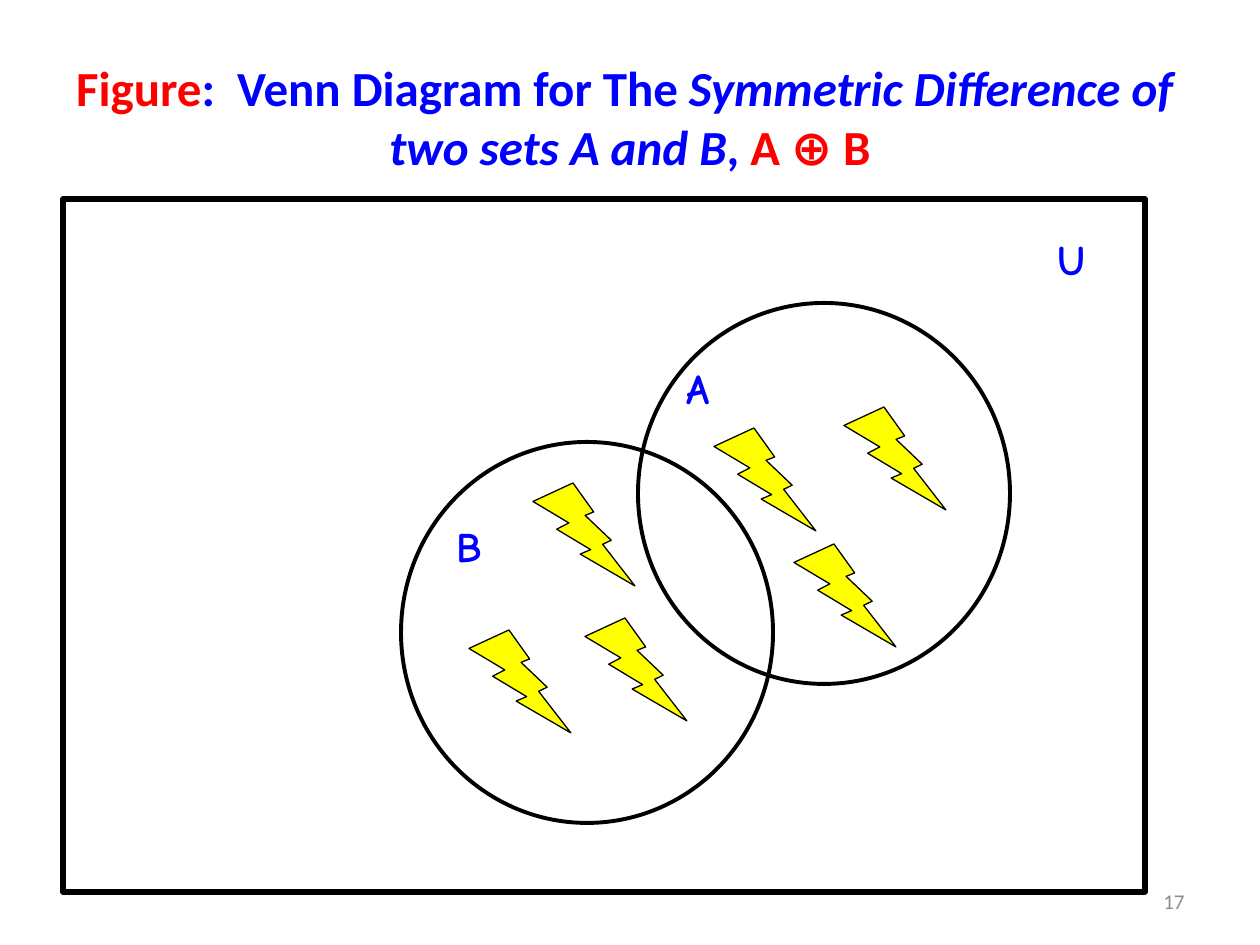
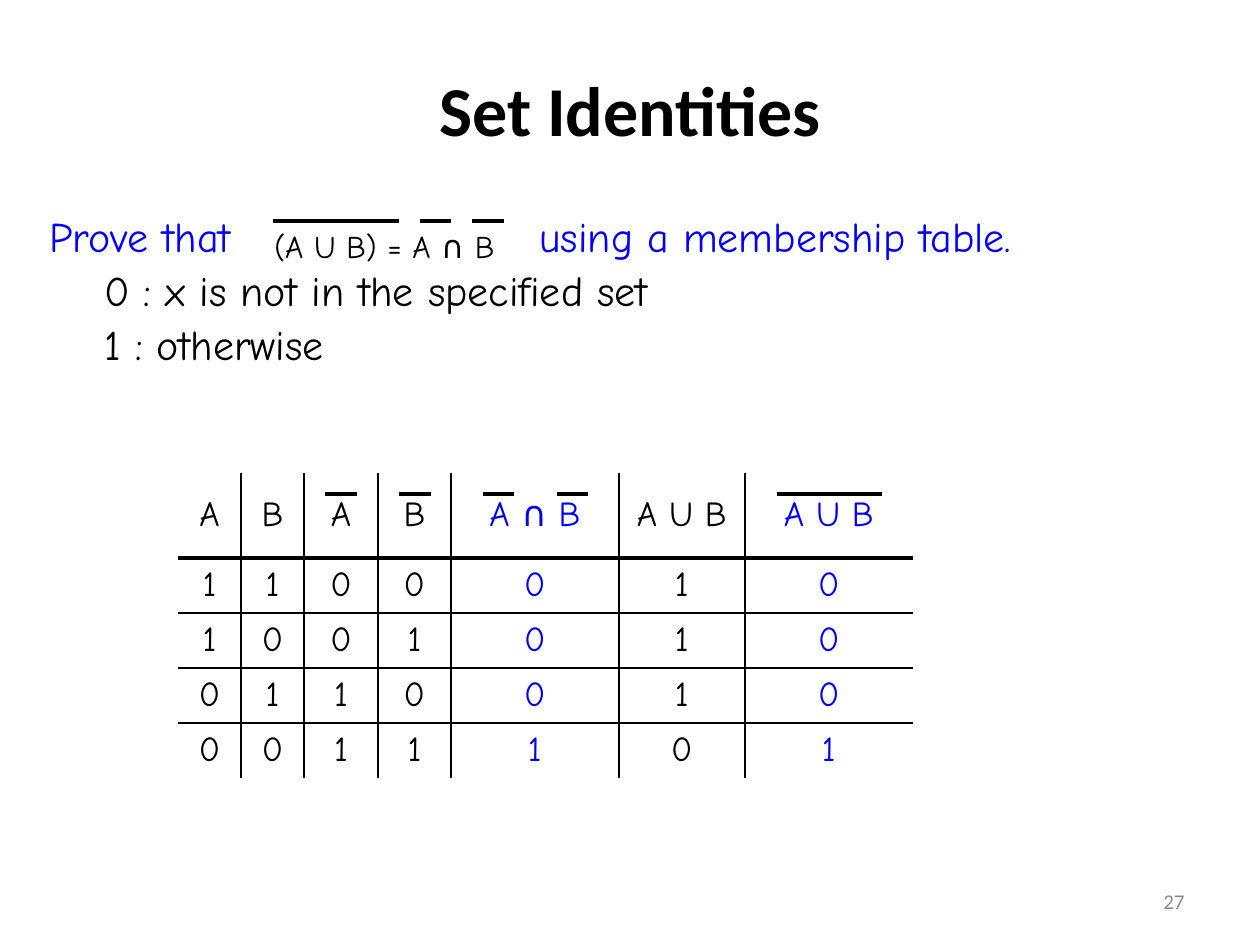
import pptx
import pptx.util
import pptx.dml.color
import pptx.enum.shapes
import pptx.enum.text
import pptx.oxml
from pptx.oxml.ns import qn

Pt = pptx.util.Pt
Kind = pptx.enum.shapes.MSO_SHAPE
Align = pptx.enum.text.PP_ALIGN
Anchor = pptx.enum.text.MSO_ANCHOR

COLORS = {"black": "000000", "blue": "0000FF", "red": "FF0000",
          "yellow": "FFFF00", "white": "FFFFFF", "gray": "8C8C8C"}
SANS, HAND = "Calibri", "Comic Neue"
PX = 914400 / 126
BREAK = None

# Slide 1: runs are (text, colour, italic)
VENN_TITLE = [("Figure", "red", False), (":  Venn Diagram for The ", "blue", False),
              ("Symmetric Difference of ", "blue", True), BREAK,
              ("two sets A and B", "blue", True), (", ", "blue", False),
              ("A ⊕ B", "red", False)]
FRAME = (63, 199, 1082, 693)
CIRCLES = [((401, 442, 372, 381), "white"), ((638, 303, 372, 381), None)]
BOLTS = [(794, 544), (844, 407), (714, 428), (533, 483), (469, 630), (585, 618)]
BOLT_W, BOLT_H = 102, 103
LABELS = [("A", (674, 362, 60, 73), 0.9, 0), ("U", (1045, 227, 121, 98), 1, 5),
          ("B", (444, 520, 70, 62), 0.9, 0)]

# Slide 2
CLAIM = "Prove that\tusing a membership table."
CODES = ["0 : x is not in the specified set", "1 : otherwise"]
FORMULA = "(A U B) = A ∩ B"
CLAIM_TAB, CODE_INDENT = 490, 55
HEADS = ["A", "B", "A", "B", "A ∩ B", "A U B", "A U B"]
ROWS = ["1100010", "1001010", "0110010", "0011101"]
BLUE_COLS = (4, 6)
COLS = [63, 63, 74, 73, 168, 126, 168]
HEAD_H, ROW_H = 85, 55
TABLE_X, TABLE_Y = 178, 473
# Overbars: y, then (start, end) of each
BARS = [(221, [(273, 399), (420, 451), (472, 504)]),
        (494, [(325, 357), (399, 431), (483, 514), (557, 588), (777, 882)])]


def px(n):
    return round(n * PX)


def rgb(name):
    return pptx.dml.color.RGBColor.from_string(COLORS[name])


def style(para, size, font, color=None, bold=False):
    para.font.size, para.font.name, para.font.bold = Pt(size), font, bold
    if color:
        para.font.color.rgb = rgb(color)


def add_box(slide, box, anchor=Anchor.TOP):
    """Add a wrapping text box and return its text frame."""
    frame = slide.shapes.add_textbox(*map(px, box)).text_frame
    frame.word_wrap = True
    frame.vertical_anchor = anchor
    return frame


def add_text(slide, box, text, size, font, color, bold=False,
             align=Align.LEFT, anchor=Anchor.TOP):
    para = add_box(slide, box, anchor).paragraphs[0]
    para.text, para.alignment = text, align
    style(para, size, font, color, bold)
    return para


def add_title(slide, height, size, runs):
    para = add_box(slide, (63, 38, 1134, height), Anchor.MIDDLE).paragraphs[0]
    para.alignment = Align.CENTER
    style(para, size, SANS, bold=True)
    for item in runs:
        if item is BREAK:
            para.add_line_break()
            continue
        run = para.add_run()
        run.text, color, run.font.italic = item
        run.font.color.rgb = rgb(color)


def add_number(slide, number):
    add_text(slide, (903, 876, 294, 50), str(number), 12, SANS, "gray",
             align=Align.RIGHT, anchor=Anchor.MIDDLE)


def add_figure(slide, kind, box, fill, width):
    shape = slide.shapes.add_shape(kind, *map(px, box))
    shape.shadow.inherit = False
    if fill:
        shape.fill.solid()
        shape.fill.fore_color.rgb = rgb(fill)
    else:
        shape.fill.background()
    shape.line.color.rgb = rgb("black")
    shape.line.width = Pt(width)


def add_bar(slide, start, end, y):
    bar = slide.shapes.add_connector(pptx.enum.shapes.MSO_CONNECTOR.STRAIGHT,
                                     px(start), px(y), px(end), px(y))
    bar.line.color.rgb = rgb("black")
    bar.line.width = Pt(2.25)
    props = bar._element.spPr
    props.append(props.makeelement(qn("a:effectLst"), {}))


def set_border(cell, side, width):
    """Rule one side (L, R, T or B); width 0 leaves it bare."""
    props = cell._tc.get_or_add_tcPr()
    line = pptx.oxml.parse_xml(
        '<a:ln%s xmlns:a="http://schemas.openxmlformats.org/drawingml/2006/main"'
        ' w="%d">%s</a:ln%s>' % (
            side, Pt(width),
            '<a:solidFill><a:srgbClr val="%s"/></a:solidFill>' % COLORS["black"]
            if width else "<a:noFill/>", side))
    props.append(line)


def add_table(slide):
    grid = [HEADS] + ROWS
    heights = [HEAD_H] + [ROW_H] * len(ROWS)
    table = slide.shapes.add_table(
        len(grid), len(COLS), px(TABLE_X), px(TABLE_Y),
        px(sum(COLS)), px(sum(heights))).table
    table.first_row = table.horz_banding = False
    for col, width in zip(table.columns, COLS):
        col.width = px(width)
    for row, height in zip(table.rows, heights):
        row.height = px(height)
    # Rule widths between rows and between columns; the outside is bare
    across = [0, 3] + [1] * (len(ROWS) - 1) + [0]
    down = [0] + [1] * (len(COLS) - 1) + [0]
    for r, values in enumerate(grid):
        for c, value in enumerate(values):
            cell = table.cell(r, c)
            cell.vertical_anchor = Anchor.MIDDLE
            para = cell.text_frame.paragraphs[0]
            para.text, para.alignment = value, Align.CENTER
            para.space_before = Pt(4)
            style(para, 20, HAND, "blue" if c in BLUE_COLS else "black")
            for side, width in zip("LRTB", (down[c], down[c + 1],
                                            across[r], across[r + 1])):
                set_border(cell, side, width)
            cell.fill.background()


def add_proof(slide):
    """Write the claim, leaving a tabbed gap for the formula, and the codes."""
    frame = add_box(slide, (37, 210, 1014, 640))
    for i, text in enumerate([CLAIM] + CODES):
        para = frame.add_paragraph() if i else frame.paragraphs[0]
        para.text = text
        para.line_spacing, para.space_before = 0.9, Pt(5)
        style(para, 24, HAND, "black" if i else "blue")
        props = para._p.get_or_add_pPr()
        if i:
            props.set("marL", str(px(CODE_INDENT)))
        else:
            tabs = props.makeelement(qn("a:tabLst"), {})
            tabs.append(tabs.makeelement(
                qn("a:tab"), {"pos": str(px(CLAIM_TAB)), "algn": "l"}))
            props.find(qn("a:defRPr")).addprevious(tabs)
    para = add_text(slide, (262, 221, 567, 63), FORMULA, 18, HAND, "black")
    para.space_before = Pt(9)


def build_venn(slide):
    add_title(slide, 157, 28, VENN_TITLE)
    add_number(slide, 17)
    add_figure(slide, Kind.RECTANGLE, FRAME, "white", 3)
    for box, fill in CIRCLES:
        add_figure(slide, Kind.OVAL, box, fill, 2.25)
    for x, y in BOLTS:
        add_figure(slide, Kind.LIGHTNING_BOLT, (x, y, BOLT_W, BOLT_H), "yellow", 0.75)
    for text, box, spacing, before in LABELS:
        para = add_text(slide, box, text, 24, HAND, "blue", bold=True)
        para.line_spacing, para.space_before = spacing, Pt(before)


def build_proof(slide):
    add_title(slide, 141, 40, [("Set Identities", "black", False)])
    add_proof(slide)
    add_table(slide)
    for y, spans in BARS:
        for start, end in spans:
            add_bar(slide, start, end, y)
    add_number(slide, 27)


def main():
    deck = pptx.Presentation()
    deck.slide_width, deck.slide_height = px(1260), px(945)
    for build in (build_venn, build_proof):
        build(deck.slides.add_slide(deck.slide_layouts[6]))
    deck.save("out.pptx")


if __name__ == "__main__":
    main()
